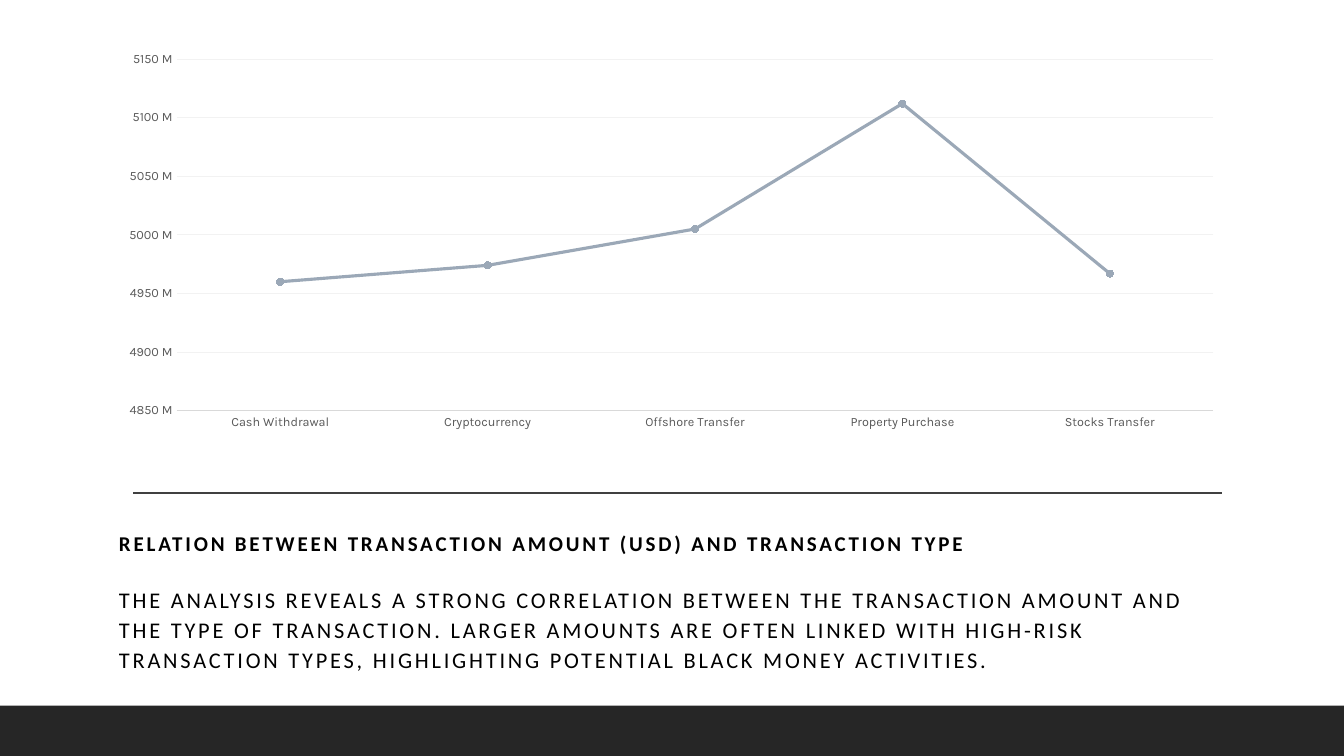
from dataclasses import dataclass

from lxml import etree
from pptx import Presentation
from pptx.chart.data import CategoryChartData
from pptx.dml.color import RGBColor
from pptx.enum.chart import XL_CHART_TYPE, XL_MARKER_STYLE, XL_TICK_MARK
from pptx.enum.shapes import MSO_CONNECTOR, MSO_SHAPE
from pptx.enum.text import MSO_ANCHOR, MSO_AUTO_SIZE, PP_ALIGN
from pptx.oxml import parse_xml
from pptx.oxml.ns import nsdecls, qn
from pptx.util import Inches, Pt

LINE_MARKERS = XL_CHART_TYPE.LINE_MARKERS
CIRCLE = XL_MARKER_STYLE.CIRCLE
NO_TICK = XL_TICK_MARK.NONE
STRAIGHT = MSO_CONNECTOR.STRAIGHT
RECTANGLE = MSO_SHAPE.RECTANGLE
TOP = MSO_ANCHOR.TOP
NO_AUTOFIT = MSO_AUTO_SIZE.NONE
LEFT = PP_ALIGN.LEFT

LEFT_EDGE, CONTENT_WIDTH = 1.08, 11.18
SERIES_COLOR = "9BA8B7"
AMOUNTS = {
    "Cash Withdrawal": 4_960_000_000,
    "Cryptocurrency": 4_974_000_000,
    "Offshore Transfer": 5_005_000_000,
    "Property Purchase": 5_112_000_000,
    "Stocks Transfer": 4_967_000_000,
}


@dataclass
class Block:
    text: str
    size: float
    bold: bool
    space_before: float


BLOCKS = [
    Block("RELATION BETWEEN TRANSACTION AMOUNT (USD) AND TRANSACTION TYPE", 15, True, 0),
    Block(
        "THE ANALYSIS REVEALS A STRONG CORRELATION BETWEEN THE TRANSACTION AMOUNT "
        "AND THE TYPE OF TRANSACTION. LARGER AMOUNTS ARE OFTEN LINKED WITH HIGH-RISK "
        "TRANSACTION TYPES, HIGHLIGHTING POTENTIAL BLACK MONEY ACTIVITIES.",
        16, False, 20,
    ),
]


def rgb(color: str) -> RGBColor:
    return RGBColor.from_string(color)


def set_line(line, color: str, width: float) -> None:
    line.color.rgb = rgb(color)
    line.width = Pt(width)


def set_fill(fill, color: str) -> None:
    fill.solid()
    fill.fore_color.rgb = rgb(color)


def set_font(font, name: str, size: float, color: str) -> None:
    font.name = name
    font.size = Pt(size)
    font.color.rgb = rgb(color)


def place(sp, left: float, top: float, width: float, height: float) -> None:
    sp.left, sp.top = Inches(left), Inches(top)
    sp.width, sp.height = Inches(width), Inches(height)


def add_block(p, block: Block) -> None:
    p.alignment = LEFT
    p.line_spacing = 1.1
    p.space_before, p.space_after = Pt(block.space_before), Pt(0)
    r = p.add_run()
    r.text = block.text
    set_font(r.font, "Calibri", block.size, "000000")
    r.font.bold = block.bold
    r._r.get_or_add_rPr().set("spc", "200")


def set_plot_layout(chart, x: float, y: float, w: float, h: float) -> None:
    """Fix the inner plot area as fractions of the chart frame."""
    plot_area = chart._chartSpace.find(".//" + qn("c:plotArea"))
    for old in plot_area.findall(qn("c:layout")):
        plot_area.remove(old)
    layout = parse_xml(f"<c:layout {nsdecls('c')}><c:manualLayout/></c:layout>")
    settings = {"layoutTarget": "inner", "xMode": "edge", "yMode": "edge",
                "x": x, "y": y, "w": w, "h": h}
    for tag, value in settings.items():
        etree.SubElement(layout[0], qn(f"c:{tag}")).set("val", str(value))
    plot_area.insert(0, layout)


def add_amount_chart(slide) -> None:
    data = CategoryChartData()
    data.categories = list(AMOUNTS)
    data.add_series("Series 1", list(AMOUNTS.values()))
    chart = slide.shapes.add_chart(
        LINE_MARKERS, Inches(LEFT_EDGE), Inches(0.43),
        Inches(CONTENT_WIDTH), Inches(3.92), data).chart
    chart.has_title = False
    chart.has_legend = False
    set_font(chart.font, "Karla", 10, "000000")
    set_plot_layout(chart, 0.06, 0.04, 0.92, 0.89)

    # Axes
    cat_axis, val_axis = chart.category_axis, chart.value_axis
    for axis in (cat_axis, val_axis):
        axis.major_tick_mark = axis.minor_tick_mark = NO_TICK
        set_font(axis.tick_labels.font, "Karla", 9, "595959")
    set_line(cat_axis.format.line, "D9D9D9", 0.75)
    val_axis.minimum_scale, val_axis.maximum_scale = 4_850_000_000, 5_150_000_000
    val_axis.major_unit = 50_000_000
    val_axis.format.line.fill.background()
    val_axis.tick_labels.number_format = '0,,\\ "M"'
    val_axis.tick_labels.number_format_is_linked = False
    val_axis.has_major_gridlines = True
    set_line(val_axis.major_gridlines.format.line, "F2F2F2", 0.75)

    # Series
    plot = chart.plots[0]
    plot.vary_by_categories = False
    series = plot.series[0]
    series.smooth = False
    set_line(series.format.line, SERIES_COLOR, 2.25)
    series.marker.style = CIRCLE
    series.marker.size = 5
    set_fill(series.marker.format.fill, SERIES_COLOR)
    set_line(series.marker.format.line, SERIES_COLOR, 0.75)


def main() -> None:
    prs = Presentation()
    prs.slide_width, prs.slide_height = Inches(13.33), Inches(7.5)
    slide = prs.slides.add_slide(prs.slide_layouts[0])
    set_fill(slide.background.fill, "FFFFFF")
    title, subtitle = slide.placeholders
    title.element.getparent().remove(title.element)

    # Footer band
    band = slide.shapes.add_shape(RECTANGLE, 0, Inches(7), prs.slide_width, Inches(0.5))
    band.shadow.inherit = False
    set_fill(band.fill, "262626")
    band.line.fill.background()

    # Divider
    divider = slide.shapes.add_connector(
        STRAIGHT, Inches(1.32), Inches(4.89), Inches(12.12), Inches(4.89))
    set_line(divider.line, "404040", 1)
    etree.SubElement(divider.element.spPr, qn("a:effectLst"))

    # Heading and finding
    place(subtitle, LEFT_EDGE, 5.19, CONTENT_WIDTH, 1.25)
    tf = subtitle.text_frame
    tf.word_wrap = True
    tf.auto_size = NO_AUTOFIT
    tf.vertical_anchor = TOP
    for i, block in enumerate(BLOCKS):
        add_block(tf.add_paragraph() if i else tf.paragraphs[0], block)

    add_amount_chart(slide)
    prs.save("out.pptx")


if __name__ == "__main__":
    main()
